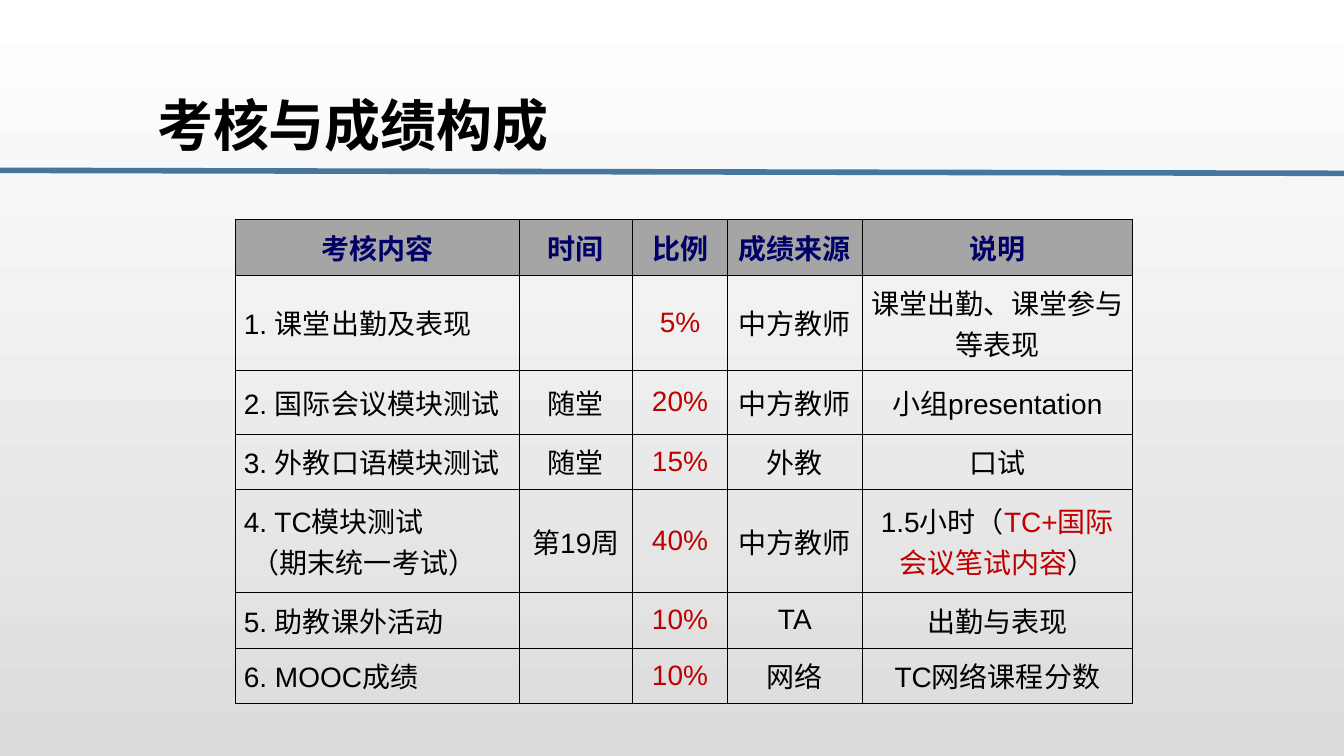
import pptx
import pptx.util
import pptx.dml.color
import pptx.enum.dml
import pptx.enum.shapes
import pptx.enum.text
import pptx.oxml
import pptx.oxml.ns
from lxml import etree

Inches = pptx.util.Inches
Pt = pptx.util.Pt
Align = pptx.enum.text.PP_ALIGN
Anchor = pptx.enum.text.MSO_ANCHOR
qn = pptx.oxml.ns.qn

COLORS = {
    "text": "000000",
    "heading": "000066",
    "accent": "C00000",
    "header_fill": "A5A5A5",
    "border": "000000",
    "rule": "41719C",
    "top": "FFFFFF",
    "bottom": "DCDCDC",
}
COLUMN_WIDTHS = [2.81, 1.13, 0.94, 1.34, 2.68]
ROW_HEIGHTS = [0.55, 0.94, 0.63, 0.55, 1.02, 0.55, 0.55]
SHARE_COLUMN = 2
EXAM_SCOPE = "TC+国际会议笔试内容"
ROWS = [
    ["考核内容", "时间", "比例", "成绩来源", "说明"],
    ["1. 课堂出勤及表现", "", "5%", "中方教师", "课堂出勤、课堂参与等表现"],
    ["2. 国际会议模块测试", "随堂", "20%", "中方教师", "小组presentation"],
    ["3. 外教口语模块测试", "随堂", "15%", "外教", "口试"],
    ["4. TC模块测试\n（期末统一考试）", "第19周", "40%", "中方教师", ["1.5小时（", EXAM_SCOPE, "）"]],
    ["5. 助教课外活动", "", "10%", "TA", "出勤与表现"],
    ["6. MOOC成绩", "", "10%", "网络", "TC网络课程分数"],
]


def color(name):
    return pptx.dml.color.RGBColor.from_string(COLORS[name])


def style_span(span, font, size, color_name, bold):
    span.font.name = font
    span.font.size = Pt(size)
    span.font.bold = bold
    span.font.color.rgb = color(color_name)


def paint_background(page):
    fill = page.background.fill
    fill.gradient()
    fill.gradient_angle = 270
    for stop, name, position in zip(fill.gradient_stops, ("top", "bottom"), (0, 1)):
        stop.color.rgb = color(name)
        stop.position = position


def add_title(page, left, top, width, height):
    title = page.shapes.title
    title.left, title.top = Inches(left), Inches(top)
    title.width, title.height = Inches(width), Inches(height)
    frame = title.text_frame
    frame.text = "考核与成绩构成"
    frame.word_wrap = True
    frame.auto_size = pptx.enum.text.MSO_AUTO_SIZE.NONE
    frame.vertical_anchor = Anchor.MIDDLE
    frame.margin_left, frame.margin_right = Inches(0.11), Inches(0.08)
    frame.margin_top = frame.margin_bottom = Inches(0.04)
    para = frame.paragraphs[0]
    para.alignment = Align.LEFT
    style_span(para.runs[0], "Cambria", 40, "text", True)


def add_rule(page, left, top, width, height):
    rule = page.shapes.add_connector(
        pptx.enum.shapes.MSO_CONNECTOR.STRAIGHT,
        Inches(left), Inches(top), Inches(left + width), Inches(top + height))
    rule.line.width = Pt(4)
    rule.line.color.rgb = color("rule")
    properties = rule._element.spPr
    shade = properties.find(".//" + qn("a:srgbClr"))
    etree.SubElement(shade, qn("a:alpha"), val="97000")
    etree.SubElement(properties, qn("a:effectLst"))


def add_borders(cell):
    properties = cell._tc.get_or_add_tcPr()
    for side in ("lnL", "lnR", "lnT", "lnB"):
        line = etree.SubElement(properties, qn("a:" + side), w=str(Pt(0.45)))
        fill = etree.SubElement(line, qn("a:solidFill"))
        etree.SubElement(fill, qn("a:srgbClr"), val=COLORS["border"])


def fill_cell(cell, content, is_header, column):
    add_borders(cell)
    if is_header:
        cell.fill.solid()
        cell.fill.fore_color.rgb = color("header_fill")
    else:
        cell.fill.background()
    cell.vertical_anchor = Anchor.MIDDLE
    cell.margin_left = cell.margin_right = Inches(0.08)
    cell.margin_top = cell.margin_bottom = Inches(0.05)
    frame = cell.text_frame
    if isinstance(content, list):
        for piece in content:
            frame.paragraphs[0].add_run().text = piece
    else:
        frame.text = content
    for number, para in enumerate(frame.paragraphs):
        para.alignment = Align.CENTER if is_header or column else Align.JUSTIFY
        if number:
            para._p.get_or_add_pPr().set("marL", str(Inches(0.08)))
        for span in para.runs:
            is_accent = column == SHARE_COLUMN or span.text == EXAM_SCOPE
            name = "heading" if is_header else "accent" if is_accent else "text"
            style_span(span, "Arial", 20, name, is_header)


def add_grading_table(page, left, top, width, height):
    table = page.shapes.add_table(
        len(ROWS), len(COLUMN_WIDTHS),
        Inches(left), Inches(top), Inches(width), Inches(height)).table
    table.first_row = False
    table.horz_banding = False
    for column, share in zip(table.columns, COLUMN_WIDTHS):
        column.width = Inches(width * share / sum(COLUMN_WIDTHS))
    for row, share in zip(table.rows, ROW_HEIGHTS):
        row.height = Inches(height * share / sum(ROW_HEIGHTS))
    for row_number, contents in enumerate(ROWS):
        for column_number, content in enumerate(contents):
            fill_cell(table.cell(row_number, column_number), content,
                      row_number == 0, column_number)


def main():
    deck = pptx.Presentation()
    deck.slide_width, deck.slide_height = Inches(13.34), Inches(7.5)
    page = deck.slides.add_slide(deck.slide_layouts[5])
    paint_background(page)
    add_grading_table(page, 2.34, 2.18, 8.9, 4.8)
    add_rule(page, -0.06, 1.69, 13.45, 0.03)
    add_title(page, 1.45, 0.88, 11.09, 0.71)
    deck.save("out.pptx")


if __name__ == "__main__":
    main()
